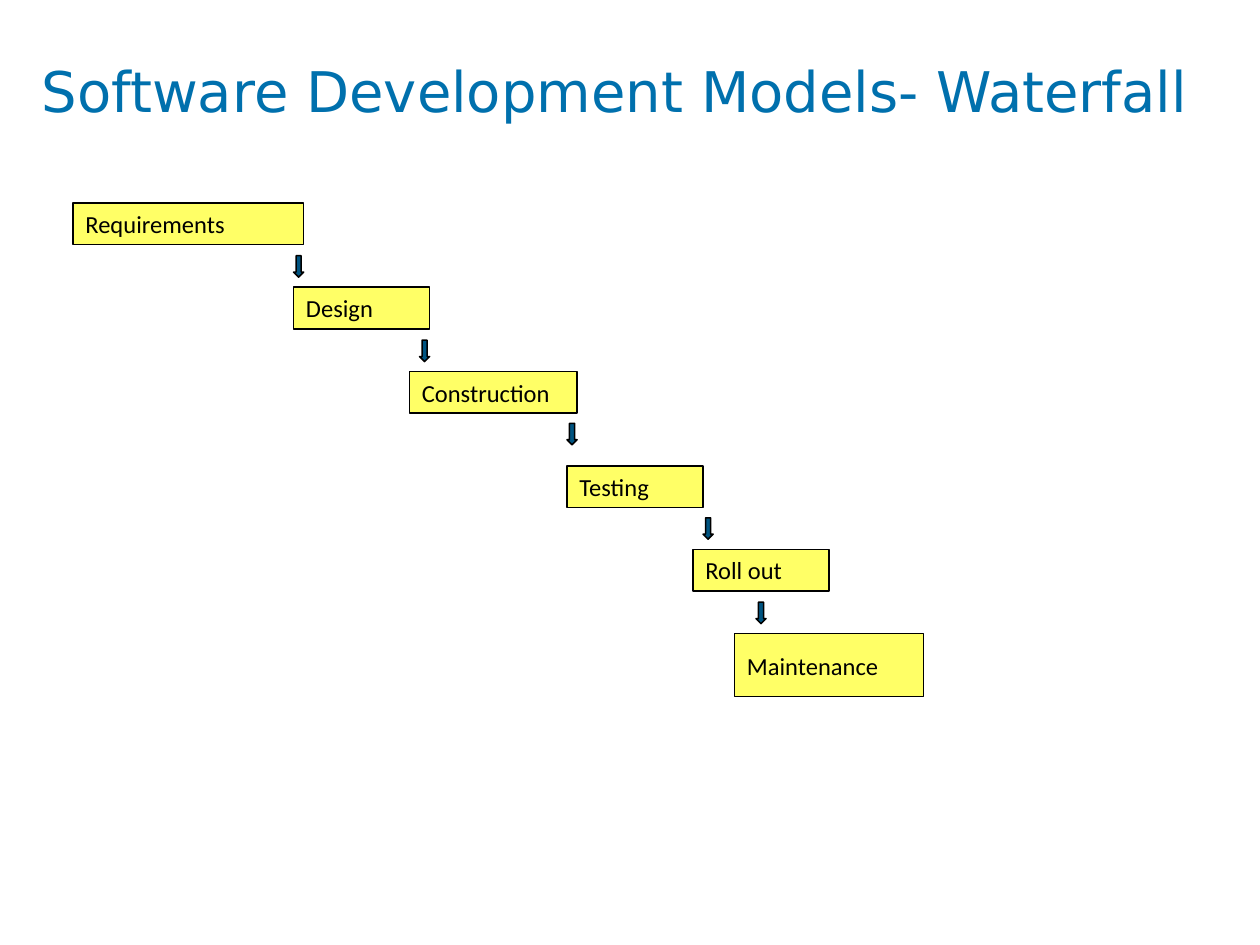
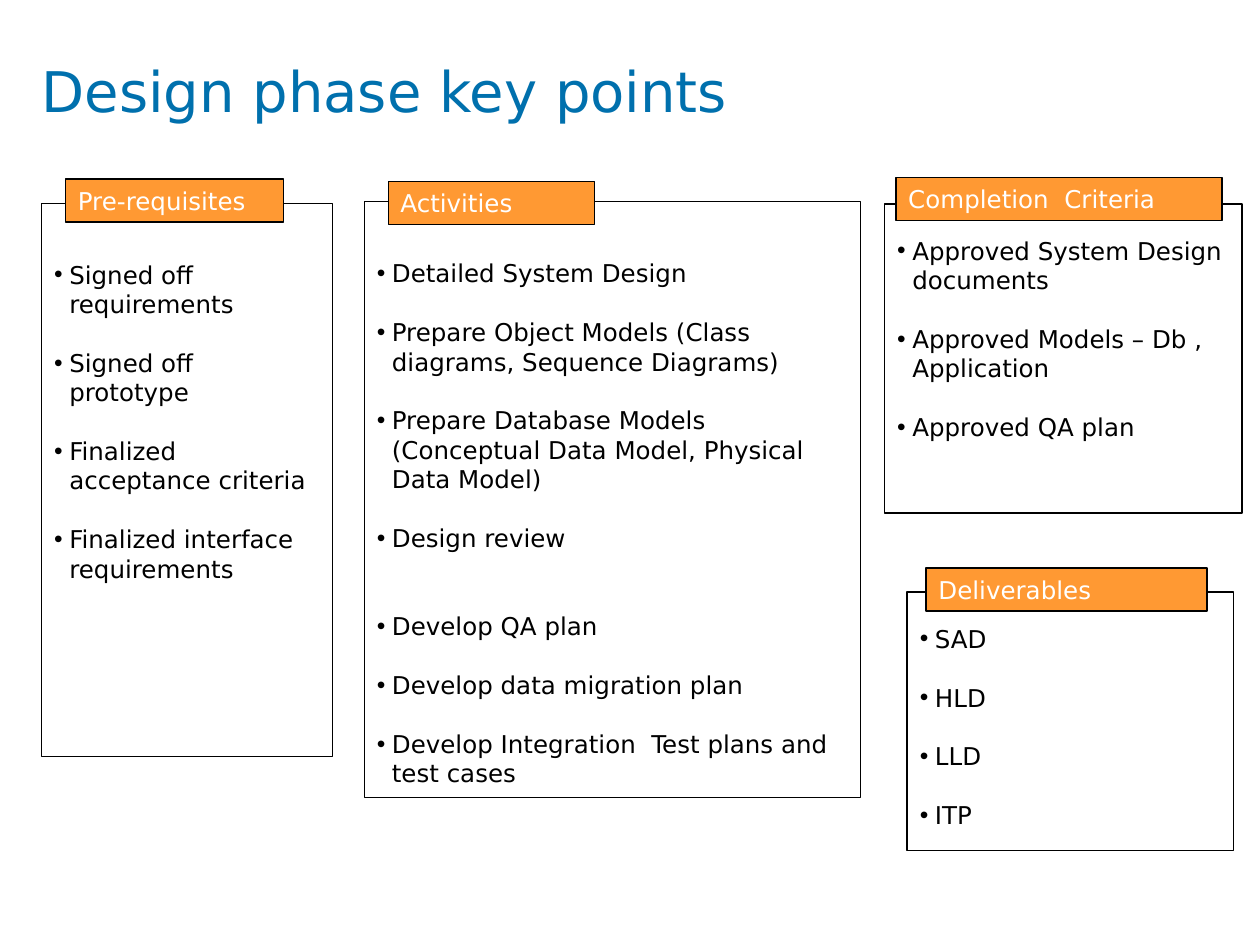
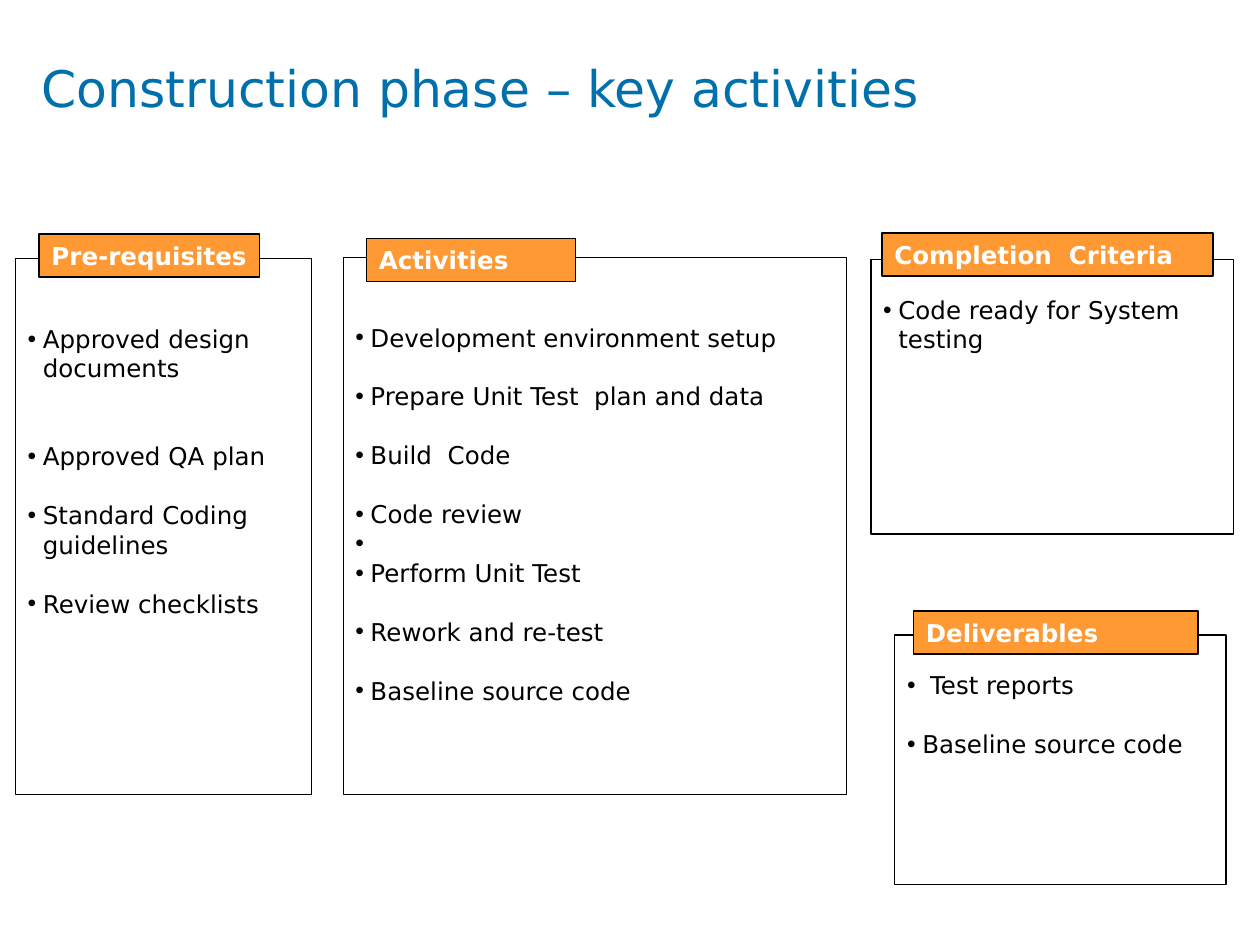
"""Build three slides on the waterfall model and its design and construction phases."""
import lxml.etree
import pptx
import pptx.dml.color
import pptx.enum.shapes
import pptx.enum.text
import pptx.oxml.ns
import pptx.util

PX = 9144
TITLE_ONLY, FOUR_LISTS = 5, 4
ANCHOR = pptx.enum.text.MSO_ANCHOR
SHAPE = pptx.enum.shapes.MSO_SHAPE

STEPS = [
    ("Requirements", (58, 161, 183, 33)),
    ("Design", (233, 228, 108, 33)),
    ("Construction", (325, 295, 133, 33)),
    ("Testing", (450, 370, 108, 33)),
    ("Roll out", (550, 436, 108, 33)),
    ("Maintenance", (583, 503, 150, 50)),
]
ARROWS = [(233, 203), (333, 270), (450, 336), (558, 411), (600, 478)]

PANELS = [
    ("Pre-requisites", 0.25, 1),
    ("Activities", 0.25, 0.25),
    ("Completion  Criteria", 1, 1),
    ("Deliverables", 1, 1),
]

DESIGN = [
    ((33, 161, 231, 439), (52, 142, 173, 34), 45,
     ["Signed off requirements", "Signed off prototype",
      "Finalized acceptance criteria", "Finalized interface requirements"]),
    ((289, 160, 394, 473), (308, 144, 164, 34), 45,
     ["Detailed System Design",
      "Prepare Object Models (Class diagrams, Sequence Diagrams)",
      "Prepare Database Models (Conceptual Data Model, Physical Data Model)",
      "Design review", "Develop QA plan", "Develop data migration plan",
      "Develop Integration  Test plans and test cases"]),
    ((702, 162, 284, 245), (711, 141, 259, 34), 25,
     ["Approved System Design documents",
      "Approved Models – Db , Application", "Approved QA plan"]),
    ((720, 470, 259, 205), (735, 451, 223, 34), 25,
     ["SAD", "HLD", "LLD", "ITP"]),
]

CONSTRUCTION = [
    ((12, 205, 235, 425), (31, 186, 175, 34), 52,
     ["Approved design documents", "Approved QA plan",
      "Standard Coding guidelines", "Review checklists"]),
    ((272, 204, 400, 426), (291, 189, 166, 34), 52,
     ["Development environment setup", "Prepare Unit Test  plan and data",
      "Build  Code", "Code review", " ", "Perform Unit Test",
      "Rework and re-test", "Baseline source code"]),
    ((691, 206, 288, 218), (700, 185, 263, 34), 28,
     ["Code ready for System testing"]),
    ((710, 504, 263, 198), (725, 485, 226, 34), 28,
     [" Test reports", "Baseline source code"]),
]


def color(code):
    return pptx.dml.color.RGBColor.from_string(code)


def write(para, text, font="DejaVu Sans", size=14, ink="000000", bold=False, before=0):
    para.alignment = pptx.enum.text.PP_ALIGN.LEFT
    para.line_spacing = 1.0
    para.space_before = pptx.util.Pt(before)
    span = para.add_run()
    span.text = text
    span.font.name = font
    span.font.size = pptx.util.Pt(size)
    span.font.bold = bold
    span.font.color.rgb = color(ink)


class Slides:
    TITLE_INK, TAB, STEP, ARROW, EDGE = "0070AD", "FF9933", "FFFF66", "005481", "000000"
    LINE_GAP = 16.8
    HANG = 12

    def __init__(self):
        self.deck = pptx.Presentation()
        self.deck.slide_width = 1000 * PX
        self.deck.slide_height = 750 * PX
        self.page = None

    def start(self, layout, title, size=32):
        self.page = self.deck.slides.add_slide(self.deck.slide_layouts[layout])
        box = self.page.shapes.title
        self.place(box, (33, 45, 933, 94))
        frame = self.frame(box, ANCHOR.TOP, (0, 0, 0, 0))
        write(frame.paragraphs[0], title, size=size, ink=self.TITLE_INK)

    def place(self, box, area):
        box.left, box.top, box.width, box.height = (n * PX for n in area)

    def frame(self, box, anchor, insets=(10, 5, 10, 5), wrap=True):
        frame = box.text_frame
        frame.auto_size = pptx.enum.text.MSO_AUTO_SIZE.NONE
        frame.word_wrap = wrap
        frame.vertical_anchor = anchor
        (frame.margin_left, frame.margin_top,
         frame.margin_right, frame.margin_bottom) = (n * PX for n in insets)
        return frame

    def outline(self, box, width):
        box.line.color.rgb = color(self.EDGE)
        box.line.width = pptx.util.Pt(width)

    def shape(self, kind, area, fill, width=0.88):
        box = self.page.shapes.add_shape(kind, *(n * PX for n in area))
        box.shadow.inherit = False
        box.fill.solid()
        box.fill.fore_color.rgb = color(fill)
        self.outline(box, width)
        return box

    def step(self, text, area):
        box = self.shape(SHAPE.RECTANGLE, area, self.STEP)
        frame = self.frame(box, ANCHOR.MIDDLE, wrap=False)
        write(frame.paragraphs[0], text, font="Calibri")

    def arrow(self, left, top):
        self.shape(SHAPE.DOWN_ARROW, (left, top, 8, 17), self.ARROW)

    def tab(self, text, area, width, bold):
        box = self.shape(SHAPE.RECTANGLE, area, self.TAB, width)
        frame = self.frame(box, ANCHOR.MIDDLE)
        write(frame.paragraphs[0], text, ink="FFFFFF", bold=bold)

    def bullets(self, box, area, width, inset, items, gaps):
        self.place(box, area)
        box.fill.background()
        self.outline(box, width)
        frame = self.frame(box, ANCHOR.TOP, (10, inset, 10, 5))
        for index, item in enumerate(items):
            para = frame.add_paragraph() if index else frame.paragraphs[0]
            lines = gaps.get(item, 1) if index else 0
            write(para, item, before=lines * self.LINE_GAP)
            layout = para._p.get_or_add_pPr()
            layout.set("marL", str(self.HANG * PX))
            layout.set("indent", str(-self.HANG * PX))
            mark = lxml.etree.SubElement(layout, pptx.oxml.ns.qn("a:buChar"))
            mark.set("char", "•")

    def phase(self, title, panels, gaps, size=32, bold=False):
        self.start(FOUR_LISTS, title, size)
        bodies = list(self.page.placeholders)[1:]
        for box, style, panel in zip(bodies, PANELS, panels):
            heading, body_line, tab_line = style
            area, tab_area, inset, items = panel
            self.bullets(box, area, body_line, inset, items, gaps)
            self.tab(heading, tab_area, tab_line, bold)


def main():
    slides = Slides()
    slides.start(TITLE_ONLY, "Software Development Models- Waterfall")
    for text, area in STEPS:
        slides.step(text, area)
    for left, top in ARROWS:
        slides.arrow(left, top)
    slides.phase("Design phase key points", DESIGN, {"Develop QA plan": 2})
    slides.phase("Construction phase – key activities", CONSTRUCTION,
                 {"Approved QA plan": 2, " ": 0, "Perform Unit Test": 0},
                 size=28.8, bold=True)
    slides.deck.save("out.pptx")


if __name__ == "__main__":
    main()
